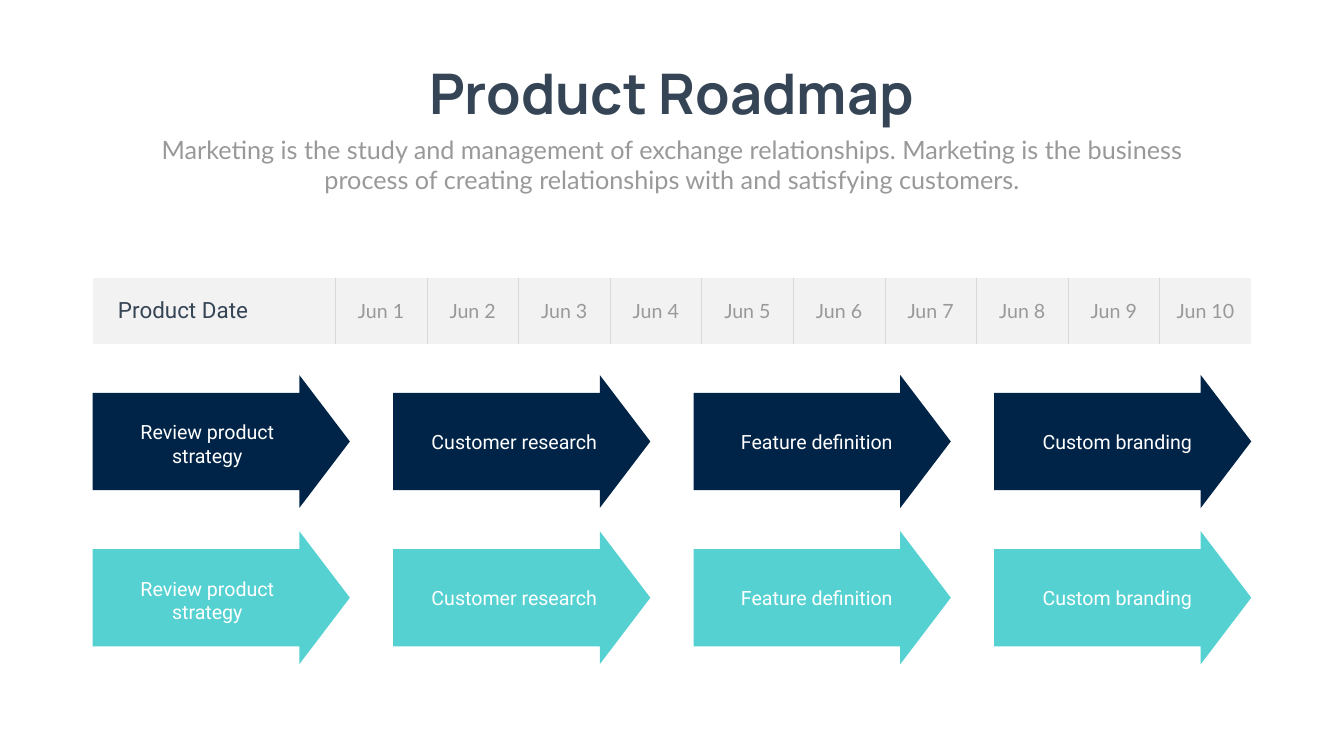
from dataclasses import dataclass
from typing import Any

from lxml.etree import SubElement
from pptx import Presentation
from pptx.dml.color import RGBColor
from pptx.enum.shapes import MSO_SHAPE as SHAPE
from pptx.enum.text import MSO_ANCHOR as ANCHOR, MSO_AUTO_SIZE as AUTO, PP_ALIGN as ALIGN
from pptx.oxml.ns import qn
from pptx.util import Pt

COLORS = {
    "ink": "364556", "muted": "999999", "white": "FFFFFF",
    "navy": "002447", "teal": "56D1D2", "band": "F2F2F2", "rule": "D9D9D9",
}
LEFT, WIDTH = 132.5, 1654.6
ARROW_W, ARROW_H = 367.2, 190
LABEL_W = 272.2

# Label, offset from its arrow, label height
STAGES = [
    ("Review product strategy", 27.4, 61.2, 74.9),
    ("Customer research", 36.7, 74.5, 41),
    ("Feature definition", 39.6, 74.5, 41),
    ("Custom branding", 39.6, 74.5, 41),
]
ROWS = [("navy", 535.7), ("teal", 758.9)]


def rgb(name):
    return RGBColor.from_string(COLORS[name])


@dataclass
class Deck:
    slide: Any
    head_font: str = "Manrope"
    body_font: str = "Lato"
    label_font: str = "Roboto"

    def set_text(self, tf, text, font, size, color, bold=False, align=ALIGN.CENTER):
        tf.text = text
        p = tf.paragraphs[0]
        p.alignment = align
        p.font.name, p.font.size, p.font.bold = font, Pt(size), bold
        p.font.color.rgb = rgb(color)

    def title(self, text, x, y, w, h):
        s = self.slide.shapes.title
        s.left, s.top, s.width, s.height = Pt(x), Pt(y), Pt(w), Pt(h)
        tf = s.text_frame
        tf.word_wrap, tf.auto_size = False, AUTO.SHAPE_TO_FIT_TEXT
        tf.vertical_anchor = ANCHOR.TOP
        self.set_text(tf, text, self.head_font, 80, "ink", bold=True)

    def text(self, text, x, y, w, h, font, size, color):
        s = self.slide.shapes.add_textbox(Pt(x), Pt(y), Pt(w), Pt(h))
        tf = s.text_frame
        tf.word_wrap, tf.auto_size = True, AUTO.SHAPE_TO_FIT_TEXT
        self.set_text(tf, text, font, size, color)

    def arrow(self, x, y, color):
        s = self.slide.shapes.add_shape(
            SHAPE.RIGHT_ARROW, Pt(x), Pt(y), Pt(ARROW_W), Pt(ARROW_H))
        s.adjustments[0], s.adjustments[1] = 0.73, 0.38
        s.shadow.inherit = False
        s.fill.solid()
        s.fill.fore_color.rgb = rgb(color)
        s.line.fill.background()

    def border(self, cell, side, visible):
        ln = SubElement(cell._tc.get_or_add_tcPr(), qn(f"a:ln{side}"), w=str(Pt(1)))
        if visible:
            fill = SubElement(ln, qn("a:solidFill"))
            SubElement(fill, qn("a:srgbClr"), val=COLORS["rule"])
        else:
            SubElement(ln, qn("a:noFill"))

    def date_table(self, heading, dates, x, y, w, h, first_w):
        table = self.slide.shapes.add_table(
            1, len(dates) + 1, Pt(x), Pt(y), Pt(w), Pt(h)).table
        table.first_row = table.horz_banding = False
        date_w = (w - first_w) / len(dates)
        for i, text in enumerate([heading, *dates]):
            table.columns[i].width = Pt(date_w if i else first_w)
            cell = table.cell(0, i)
            inner = {"L": i > 0, "R": i < len(dates), "T": False, "B": False}
            for side, visible in inner.items():
                self.border(cell, side, visible)
            cell.fill.solid()
            cell.fill.fore_color.rgb = rgb("band")
            cell.vertical_anchor = ANCHOR.MIDDLE
            if i:
                self.set_text(cell.text_frame, text, self.body_font, 28, "muted")
            else:
                cell.margin_left = Pt(36)
                self.set_text(cell.text_frame, text, self.label_font, 32, "ink",
                              align=ALIGN.LEFT)


def main():
    prs = Presentation()
    prs.slide_width, prs.slide_height = Pt(1919.5), Pt(1080)
    deck = Deck(prs.slides.add_slide(prs.slide_layouts[5]))

    # Heading
    deck.title("Product Roadmap", 575.3, 80.6, 768.2, 104.4)
    deck.text("Marketing is the study and management of exchange relationships. "
              "Marketing is the business process of creating relationships with "
              "and satisfying customers.",
              210.2, 187.9, 1499, 94.3, deck.body_font, 36, "muted")

    # Dates
    dates = [f"Jun {day}" for day in range(1, 11)]
    deck.date_table("Product Date", dates, LEFT, 396.7, WIDTH, 94.3, 346.3)

    # Stage arrows, spread evenly under the dates
    step = (WIDTH - ARROW_W) / (len(STAGES) - 1)
    for color, y in ROWS:
        for i, (label, dx, dy, h) in enumerate(STAGES):
            x = LEFT + i * step
            deck.arrow(x, y, color)
            deck.text(label, x + dx, y + dy, LABEL_W, h,
                      deck.label_font, 28, "white")

    prs.save("out.pptx")


if __name__ == "__main__":
    main()
